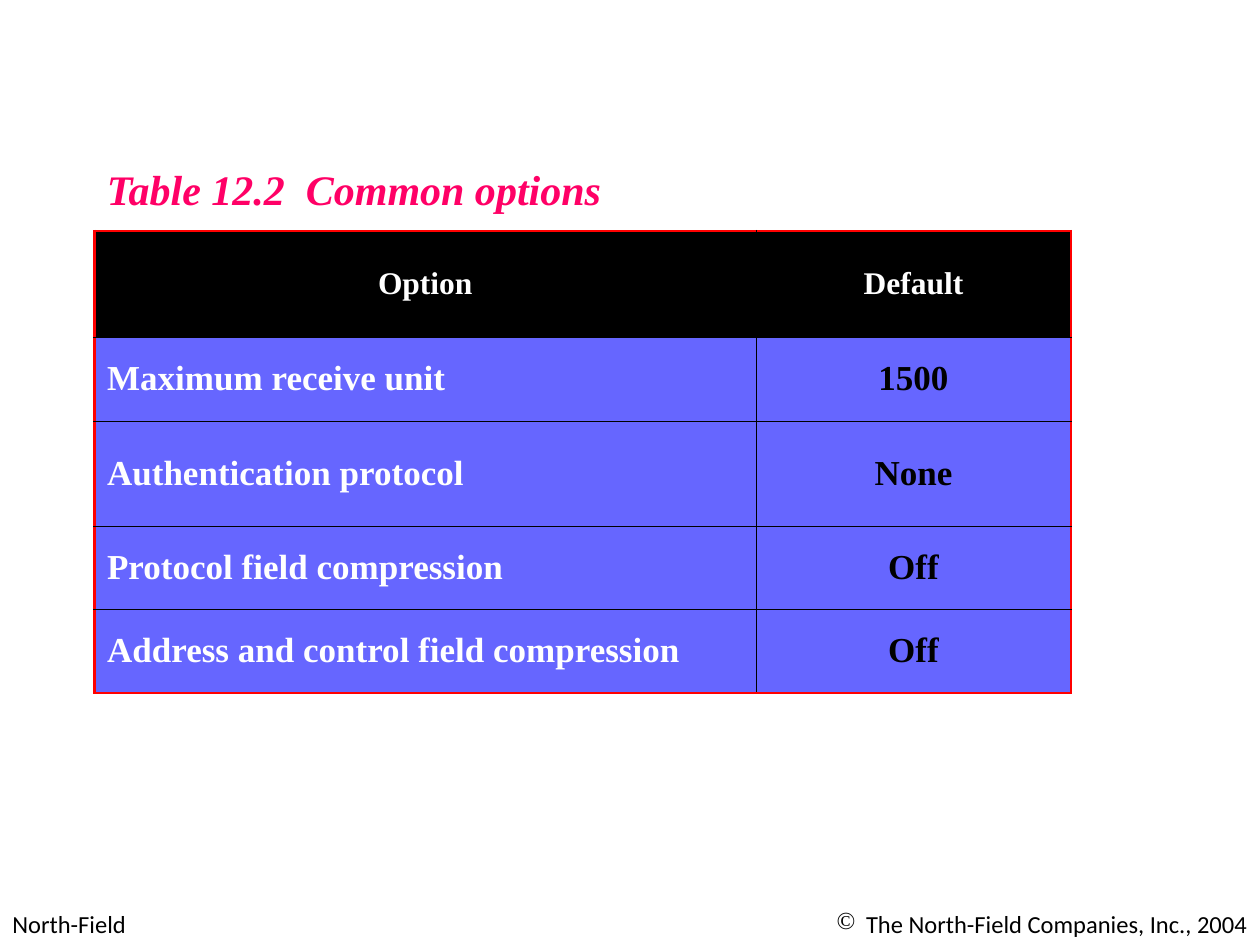
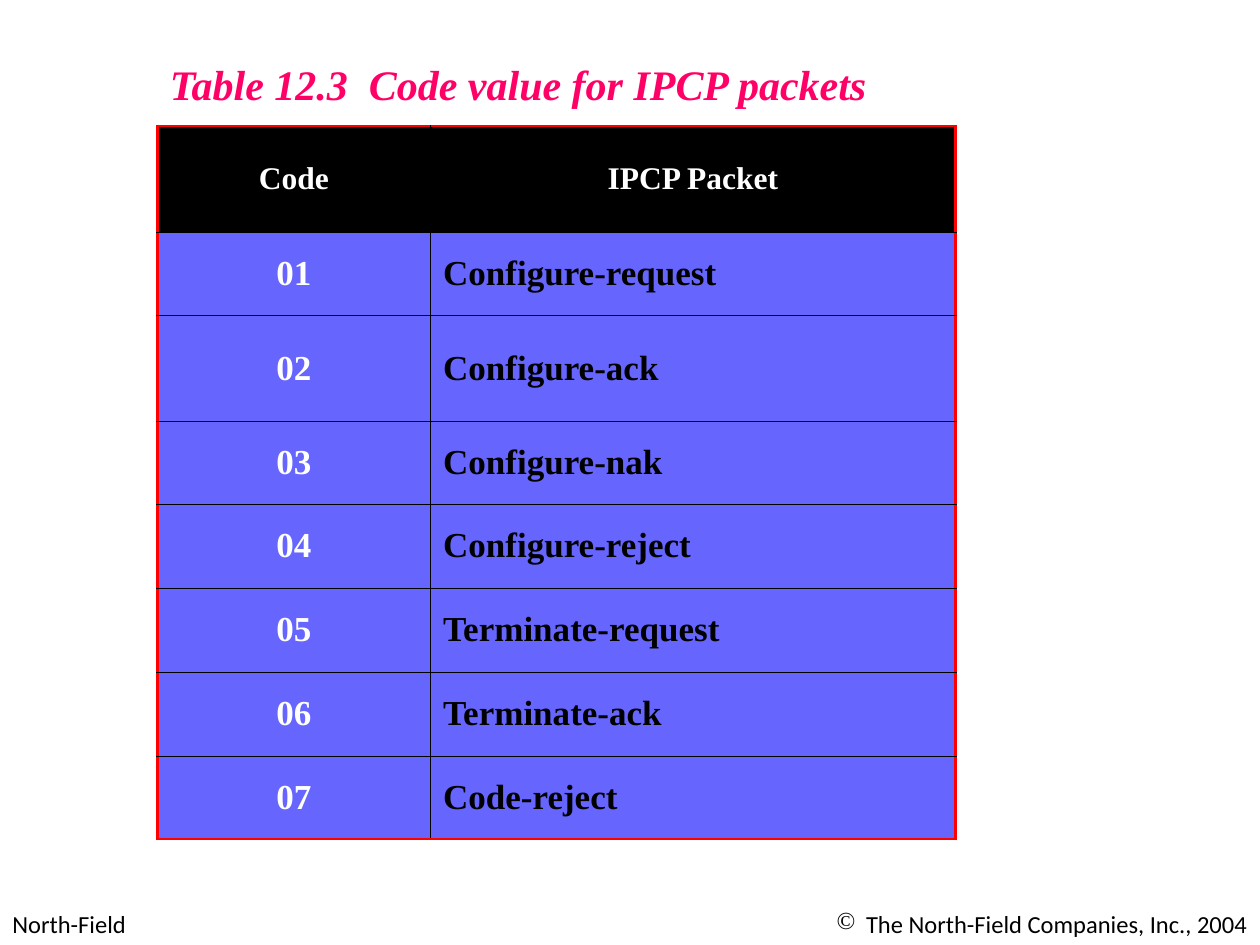
from lxml import etree
from pptx import Presentation
from pptx.dml.color import RGBColor
from pptx.enum.text import MSO_ANCHOR, MSO_AUTO_SIZE, PP_ALIGN
from pptx.oxml.ns import qn
from pptx.util import Pt

LEFT, CENTER, RIGHT = PP_ALIGN.LEFT, PP_ALIGN.CENTER, PP_ALIGN.RIGHT
MIDDLE = MSO_ANCHOR.MIDDLE
GROW = MSO_AUTO_SIZE.SHAPE_TO_FIT_TEXT

BLACK = RGBColor(0x00, 0x00, 0x00)
WHITE = RGBColor(0xFF, 0xFF, 0xFF)
PINK = RGBColor(0xFF, 0x00, 0x66)
RED = RGBColor(0xFF, 0x00, 0x00)
VIOLET = RGBColor(0x66, 0x66, 0xFF)

SERIF, SANS = "Times New Roman", "Calibri"
OUTER_RULE, INNER_RULE = (RED, 1.47), (BLACK, 0.45)
TITLE_RISE = 42


def write(frame, text, font=SERIF, size=20, color=BLACK, bold=False,
          italic=False, align=LEFT, before=0):
    paragraph = frame.paragraphs[0]
    paragraph.alignment = align
    paragraph.space_before = Pt(before)
    run = paragraph.add_run()
    run.text = text
    run.font.name = font
    run.font.size = Pt(size)
    run.font.bold = bold
    run.font.italic = italic
    run.font.color.rgb = color
    return paragraph


def rule_edge(cell, edge, color, width):
    line = etree.SubElement(cell._tc.get_or_add_tcPr(), qn(f"a:ln{edge}"),
                            w=str(Pt(width)))
    fill = etree.SubElement(line, qn("a:solidFill"))
    etree.SubElement(fill, qn("a:srgbClr"), val=str(color))


def set_bullet(paragraph, mark, color, indent):
    properties = paragraph._p.get_or_add_pPr()
    properties.set("marL", str(Pt(indent)))
    properties.set("indent", str(-Pt(indent)))
    tint = etree.SubElement(properties, qn("a:buClr"))
    etree.SubElement(tint, qn("a:srgbClr"), val=str(color))
    etree.SubElement(properties, qn("a:buChar"), char=mark)


class Deck:
    def __init__(self):
        self.show = Presentation()
        self.show.slide_width, self.show.slide_height = Pt(720), Pt(540)
        self.slide = None

    def new_slide(self):
        self.slide = self.show.slides.add_slide(self.show.slide_layouts[6])
        self.footer()

    def text(self, words, left, top, width, height, wrap=True, **style):
        box = self.slide.shapes.add_textbox(Pt(left), Pt(top), Pt(width), Pt(height))
        box.text_frame.word_wrap = wrap
        box.text_frame.auto_size = GROW
        return write(box.text_frame, words, **style)

    def footer(self):
        style = dict(font=SANS, size=14, before=8.8)
        self.text("North-Field", 0, 516, 174, 24.5, **style)
        holder = self.text("The North-Field Companies, Inc., 2004",
                           360, 516, 360, 24.5, align=RIGHT, **style)
        set_bullet(holder, "©", BLACK, 17)

    def title(self, words, left, top, width):
        self.text(words, left, top, width, 36, wrap=False,
                  size=24, color=PINK, bold=True, italic=True)

    def table(self, rows, left, top, widths, heights, aligns):
        grid = self.slide.shapes.add_table(
            len(rows), len(widths), Pt(left), Pt(top),
            Pt(sum(widths)), Pt(sum(heights))).table
        grid.first_row = grid.horz_banding = False
        for column, width in zip(grid.columns, widths):
            column.width = Pt(width)
        for row, height in zip(grid.rows, heights):
            row.height = Pt(height)
        last_row, last_column = len(rows) - 1, len(widths) - 1
        for r, row in enumerate(rows):
            for c, words in enumerate(row):
                cell = grid.cell(r, c)
                is_header = r == 0
                outer_edges = {"L": c == 0, "R": c == last_column,
                               "T": r == 0, "B": r == last_row}
                for edge, is_outer in outer_edges.items():
                    rule_edge(cell, edge, *(OUTER_RULE if is_outer else INNER_RULE))
                cell.fill.solid()
                cell.fill.fore_color.rgb = BLACK if is_header else VIOLET
                cell.vertical_anchor = MIDDLE
                write(cell.text_frame, words, bold=True,
                      size=18 if is_header else 20,
                      before=4.5 if is_header else 5,
                      color=WHITE if is_header or c == 0 else BLACK,
                      align=CENTER if is_header else aligns[c])

    def titled_table(self, title, title_width, rows, left, top, **layout):
        self.new_slide()
        self.title(title, left, top - TITLE_RISE, title_width)
        self.table(rows, left, top, **layout)


deck = Deck()
row_heights = [60.5, 48, 60.5, 47, 48]

options = [
    ("Option", "Default"),
    ("Maximum receive unit", "1500"),
    ("Authentication protocol", "None"),
    ("Protocol field compression", "Off"),
    ("Address and control field compression", "Off"),
]
deck.titled_table("Table 12.2  Common options", 299, options, 54, 132,
                  widths=[378, 180], heights=row_heights, aligns=[LEFT, CENTER])

packets = ["Configure-request", "Configure-ack", "Configure-nak",
           "Configure-reject", "Terminate-request", "Terminate-ack", "Code-reject"]
codes = [("Code", "IPCP Packet")]
codes += [(f"{number:02}", packet) for number, packet in enumerate(packets, 1)]
deck.titled_table("Table 12.3  Code value for IPCP packets", 415, codes, 90, 72,
                  widths=[156, 300], heights=row_heights + [48, 48, 47.5],
                  aligns=[CENTER, LEFT])

deck.show.save("out.pptx")
